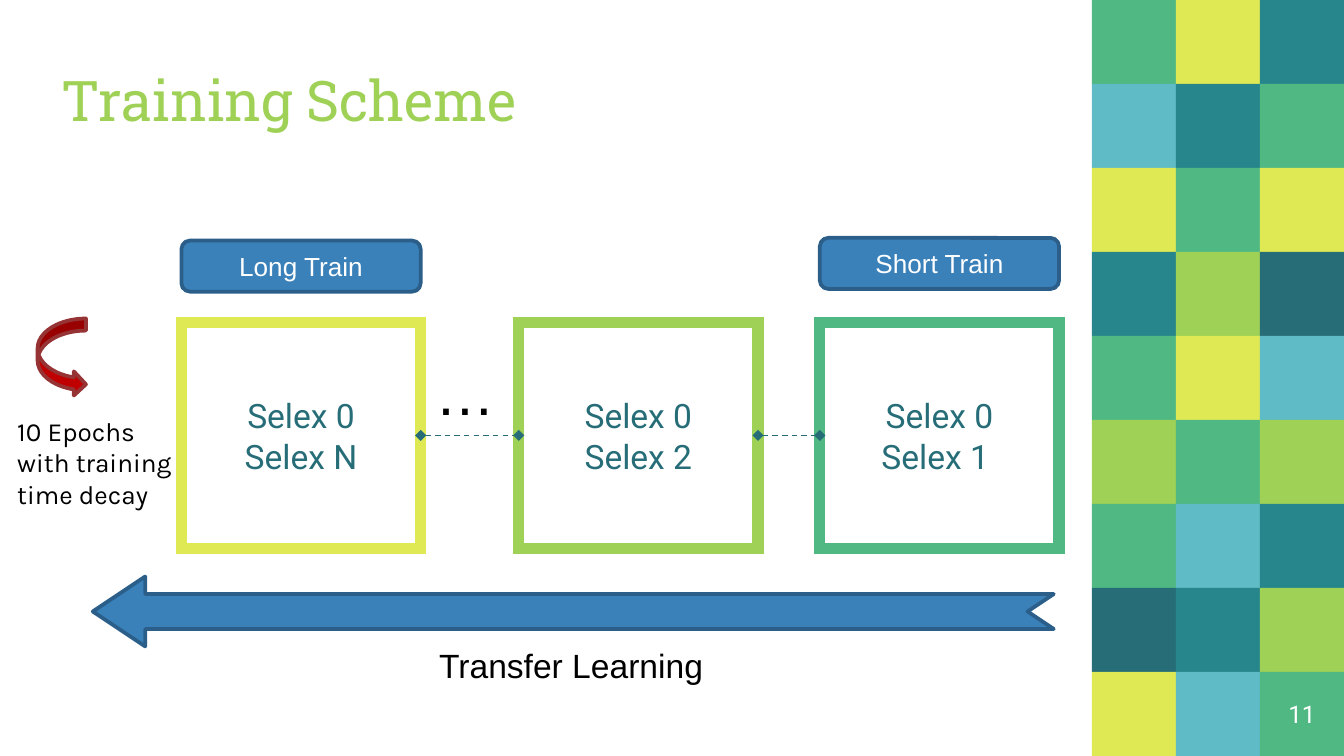
"""Build the Training Scheme slide with its mosaic sidebar."""
from pptx import Presentation
from pptx.dml.color import RGBColor
from pptx.enum.dml import MSO_LINE
from pptx.enum.shapes import MSO_CONNECTOR, MSO_SHAPE
from pptx.enum.text import MSO_ANCHOR, PP_ALIGN
from pptx.oxml.ns import qn
from pptx.util import Inches, Pt
from lxml import etree

LEFT, CENTER = PP_ALIGN.LEFT, PP_ALIGN.CENTER
TOP, MIDDLE, BOTTOM = MSO_ANCHOR.TOP, MSO_ANCHOR.MIDDLE, MSO_ANCHOR.BOTTOM
RECT, ROUNDED = MSO_SHAPE.RECTANGLE, MSO_SHAPE.ROUNDED_RECTANGLE
NOTCHED, CURVED = MSO_SHAPE.NOTCHED_RIGHT_ARROW, MSO_SHAPE.CURVED_RIGHT_ARROW
STRAIGHT, DASH = MSO_CONNECTOR.STRAIGHT, MSO_LINE.DASH

COLORS = {"L": "9ED155", "D": "266D78", "Y": "DFE954",
          "G": "50B883", "T": "27868B", "B": "5FBBC5"}
BLUE, NAVY, WHITE, BLACK = "3A81BA", "2B5F8A", "FFFFFF", "000000"
MOSAIC = ["GYT", "BTG", "YGY", "TLD", "GYB", "LGL", "GBT", "DTL", "YBG"]
WIDTH, HEIGHT = 10, 10 * 9 / 16
TILE = HEIGHT / len(MOSAIC)

STAGE_TOP, STAGE_WIDTH, STAGE_HEIGHT = 2.4, 1.78, 1.68
STAGES = [
    (1.35, COLORS["Y"], ["Selex 0", "Selex N"]),
    (3.86, COLORS["L"], ["Selex 0", "Selex 2"]),
    (6.1, COLORS["G"], ["Selex 0", "Selex 1 "]),
]
BADGES = [(1.35, 1.79, "Long Train"), (6.1, 1.77, "Short Train")]
LABELS = [
    ((3.14, 2.6, 0.63, 0.64), "…", "Arial", 32, LEFT),
    ((2.48, 4.75, 3.54, 0.4), "Transfer Learning", "Arial", 18, CENTER),
    ((0.03, 3.04, 1.46, 0.81), "10 Epochs with training time decay", "Karla", 14, LEFT),
]


def rgb(value):
    """Turn a hex string into a colour."""
    return RGBColor.from_string(value)


def write(shape, lines, font, size, color, align=CENTER, anchor=MIDDLE, inset=0.05):
    """Fill a shape with formatted paragraphs."""
    frame = shape.text_frame
    settings = {"word_wrap": True, "vertical_anchor": anchor,
                "margin_left": Inches(0.1), "margin_right": Inches(0.1),
                "margin_top": Inches(inset), "margin_bottom": Inches(inset)}
    for name, value in settings.items():
        setattr(frame, name, value)
    for index, line in enumerate(lines):
        para = frame.add_paragraph() if index else frame.paragraphs[0]
        para.alignment = align
        span = para.add_run()
        span.text = line
        for name, value in {"name": font, "size": Pt(size), "bold": False}.items():
            setattr(span.font, name, value)
        span.font.color.rgb = rgb(color)


def add_box(page, kind, place, fill=None, line=None, weight=2):
    """Add a preset shape with plain fill and outline."""
    box = page.shapes.add_shape(kind, *map(Inches, place))
    box.shadow.inherit = False
    if fill:
        box.fill.solid()
        box.fill.fore_color.rgb = rgb(fill)
    else:
        box.fill.background()
    if line:
        box.line.color.rgb = rgb(line)
        box.line.width = Pt(weight)
    else:
        box.line.fill.background()
    return box


def add_link(page, start, end, y):
    """Add a dashed connector with a diamond at each end."""
    link = page.shapes.add_connector(
        STRAIGHT, Inches(start), Inches(y), Inches(end), Inches(y))
    link.line.color.rgb = rgb(COLORS["D"])
    link.line.width = Pt(0.75)
    link.line.dash_style = DASH
    outline = link.line._get_or_add_ln()
    for tag in ("a:headEnd", "a:tailEnd"):
        etree.SubElement(outline, qn(tag), type="diamond")
    etree.SubElement(link._element.spPr, qn("a:effectLst"))


def add_mosaic(page):
    """Tile the right side and number the last tile."""
    for row, keys in enumerate(MOSAIC):
        for column, key in enumerate(keys):
            left = WIDTH - (len(keys) - column) * TILE
            tile = add_box(page, RECT, (left, row * TILE, TILE, TILE), COLORS[key])
    write(tile, ["11"], "Roboto", 13, WHITE, inset=0.1)


def add_stages(page):
    """Draw the training stages and link neighbours."""
    for left, color, lines in STAGES:
        place = (left, STAGE_TOP, STAGE_WIDTH, STAGE_HEIGHT)
        box = add_box(page, RECT, place, line=color, weight=6)
        etree.SubElement(box.line._get_or_add_ln(), qn("a:miter"), lim="800000")
        write(box, lines, "Roboto", 18, COLORS["D"], inset=0.1)
    for before, after in zip(STAGES, STAGES[1:]):
        add_link(page, before[0] + STAGE_WIDTH, after[0], STAGE_TOP + STAGE_HEIGHT / 2)


def main():
    """Assemble and save the deck."""
    deck = Presentation()
    deck.slide_width, deck.slide_height = Inches(WIDTH), Inches(HEIGHT)
    page = deck.slides.add_slide(deck.slide_layouts[5])
    title = page.shapes.title
    places = {"left": 0.36, "top": 0.15, "width": 7.01, "height": 0.94}
    for name, value in places.items():
        setattr(title, name, Inches(value))
    write(title, ["Training Scheme"], "Roboto Slab", 30, COLORS["L"], LEFT, BOTTOM, 0.1)
    add_mosaic(page)
    add_stages(page)
    transfer = add_box(page, NOTCHED, (0.69, 4.29, 7.15, 0.52), BLUE, NAVY)
    transfer.rotation = 180
    transfer.adjustments[1] = 0.75
    for left, top, text in BADGES:
        badge = add_box(page, ROUNDED, (left, top, STAGE_WIDTH, 0.38), BLUE, NAVY)
        write(badge, [text], "Arial", 14, WHITE)
    add_box(page, CURVED, (0.28, 2.37, 0.36, 0.58), "C00000", "963334")
    for place, text, font, size, align in LABELS:
        label = page.shapes.add_textbox(*map(Inches, place))
        write(label, [text], font, size, BLACK, align, TOP)
    deck.save("out.pptx")


if __name__ == "__main__":
    main()
